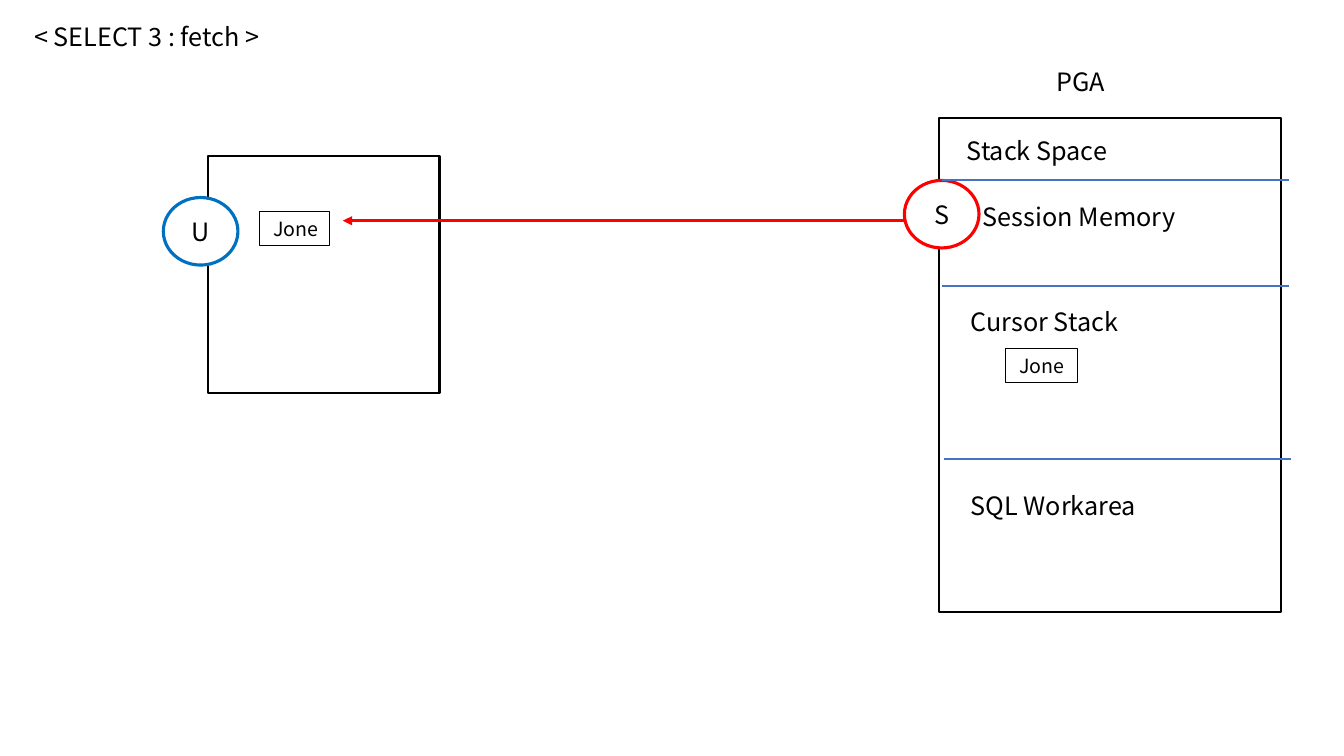
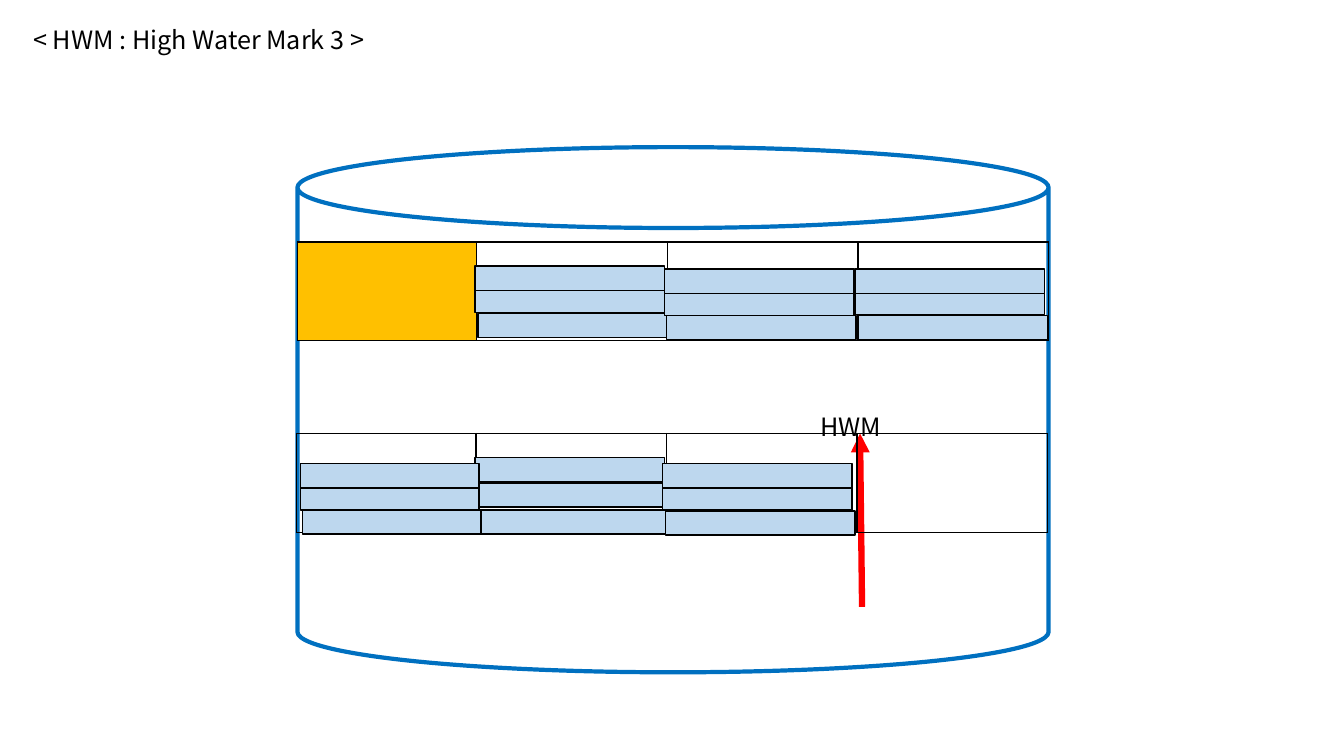
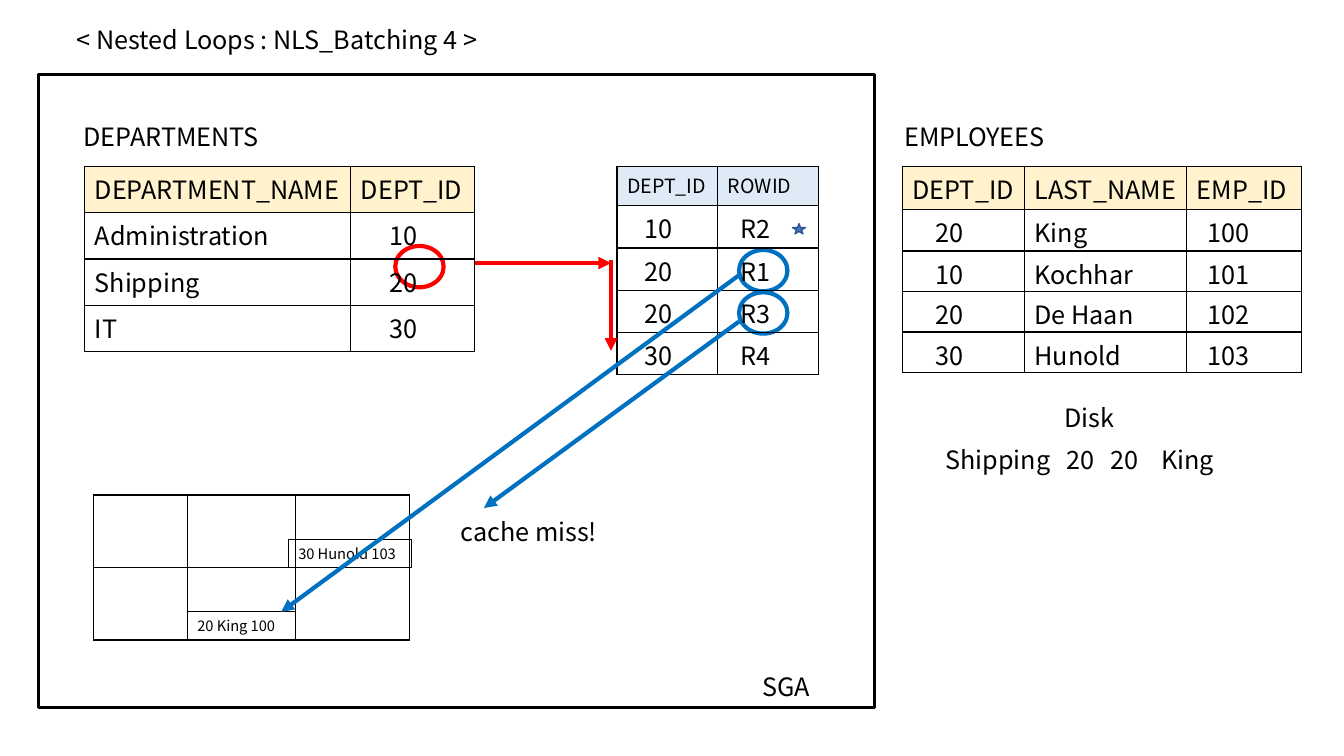
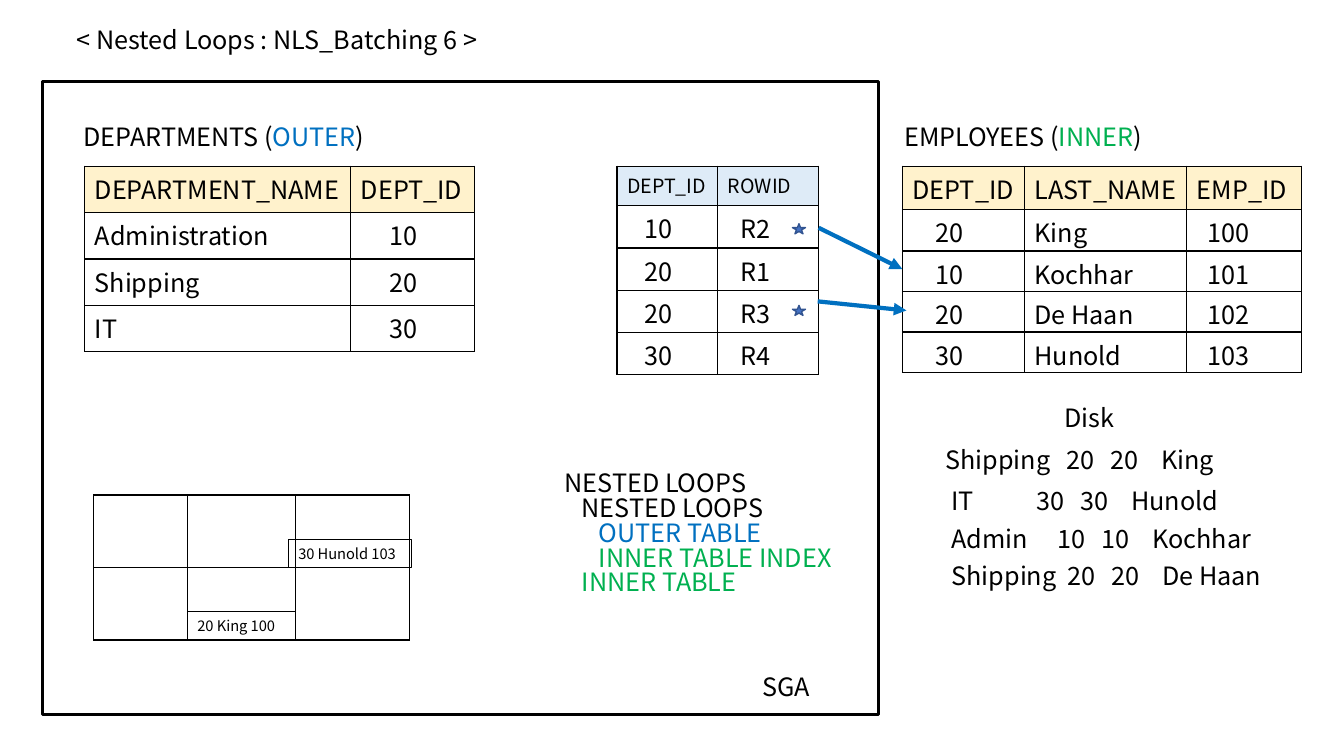
from lxml import etree
from pptx import Presentation
from pptx.dml.color import RGBColor
from pptx.enum.shapes import MSO_CONNECTOR, MSO_SHAPE
from pptx.enum.text import MSO_ANCHOR, MSO_AUTO_SIZE, PP_ALIGN
from pptx.oxml.ns import qn
from pptx.util import Inches, Pt

RECT, OVAL = MSO_SHAPE.RECTANGLE, MSO_SHAPE.OVAL
CAN, STAR = MSO_SHAPE.CAN, MSO_SHAPE.STAR_5_POINT
STRAIGHT = MSO_CONNECTOR.STRAIGHT
TOP, MIDDLE = MSO_ANCHOR.TOP, MSO_ANCHOR.MIDDLE
LEFT, CENTER = PP_ALIGN.LEFT, PP_ALIGN.CENTER
FIXED = MSO_AUTO_SIZE.NONE

FONT = "Noto Sans CJK KR"
COLORS = {
    "black": "000000", "white": "FFFFFF", "red": "FF0000", "blue": "0070C0",
    "green": "00B050", "rule": "4472C4", "edge": "325491", "gold": "FFC000",
    "bar": "BDD7EE", "cream": "FFF2CC", "pale": "DEEBF7",
}
TITLE_ONLY, TITLE_BODY = 5, 1

# Fetch: left, top, width, text
AREAS = [
    (10.38, 0.61, 1.4, "PGA"),
    (9.49, 1.29, 1.8, "Stack Space"),
    (9.65, 1.95, 2.3, "Session Memory"),
    (9.53, 2.99, 2.4, "Cursor Stack"),
    (9.53, 4.82, 2.1, "SQL Workarea"),
]
RULES = [(9.34, 1.79), (9.34, 2.84), (9.36, 4.55)]
NAMES = [(9.97, 3.46, 0.72), (2.57, 2.1, 0.7)]

# High water mark: left, width, shift of the lowest bar, tops
EXTENT = [1.78, 1.89, 1.89, 1.89]
STACKS = [
    (4.71, 1.88, 0.03, (2.64, 2.86, 3.11)),
    (4.71, 1.88, 0.05, (4.54, 4.79, 5.06)),
    (6.59, 1.88, 0.02, (2.67, 2.89, 3.13)),
    (8.48, 1.88, 0.03, (2.67, 2.88, 3.13)),
    (6.57, 1.88, 0.03, (4.6, 4.82, 5.07)),
    (2.98, 1.77, 0.02, (4.6, 4.82, 5.06)),
]

# Nested loops: tables shared by both slides
TABLES = [
    dict(at=(0.84, 1.65), cols=[2.64, 1.23], rows=[0.46] * 4,
         pads=[0.1, 0.38], head="cream",
         cells=[("DEPARTMENT_NAME", "DEPT_ID"), ("Administration", "10"),
                ("Shipping", "20"), ("IT", "30")]),
    dict(at=(8.95, 1.65), cols=[1.21, 1.61, 1.14], rows=[0.43, 0.41] + [0.4] * 3,
         pads=[0.33, 0.1, 0.21], head="cream",
         cells=[("DEPT_ID", "LAST_NAME", "EMP_ID"), ("20", "King", "100"),
                ("10", "Kochhar", "101"), ("20", "De Haan", "102"),
                ("30", "Hunold", "103")]),
    dict(at=(6.12, 1.65), cols=[1, 1], rows=[0.39] + [0.42] * 4,
         pads=[0.27, 0.22], head="pale", size=14,
         cells=[("DEPT_ID", "ROWID"), ("10", "R2"), ("20", "R1"),
                ("20", "R3"), ("30", "R4")]),
    dict(at=(0.93, 4.91), cols=[0.93, 1.07, 1.13], rows=[0.72] * 2),
]
CACHED = [(1.86, 6.07, 1.07, "20 King 100"), (2.86, 5.35, 1.22, "30 Hunold 103")]

# Result lines: left, top, first tab stop, fields
RESULTS = [
    (9.28, 4.36, 1.2, ("Shipping", "20", "20", "King")),
    (9.34, 4.77, 0.84, ("IT", "30", "30", "Hunold")),
    (9.34, 5.14, 1.05, ("Admin", "10", "10", "Kochhar")),
    (9.34, 5.51, 1.15, ("Shipping", "20", "20", "De Haan")),
]
TAB_STEPS = (0, 0.44, 0.94)

PLAN = [
    (0, "NESTED LOOPS", "black"), (1, "NESTED LOOPS", "black"),
    (2, "OUTER TABLE", "blue"), (2, "INNER TABLE INDEX", "green"),
    (1, "INNER TABLE", "green"),
]

LOOPS = [
    dict(title="< Nested Loops : NLS_Batching 4 >", frame=(0.38, 0.74),
         outer=[("DEPARTMENTS", "black")], inner=[("EMPLOYEES", "black")],
         rings=[(7.33, 2.9, "blue"), (7.33, 2.48, "blue"), (3.92, 2.44, "red")],
         arrows=[((4.71, 2.61), (6.06, 2.61), "red"),
                 ((6.06, 2.58), (6.06, 3.48), "red"),
                 ((7.33, 2.73), (2.79, 6.07), "blue"),
                 ((7.33, 3.19), (4.8, 5.04), "blue")],
         stars=[2.22], notes=[(4.47, 5.07, "cache miss!")],
         results=RESULTS[:1], plan=[]),
    dict(title="< Nested Loops : NLS_Batching 6 >", frame=(0.42, 0.81),
         outer=[("DEPARTMENTS (", "black"), ("OUTER", "blue"), (")", "black")],
         inner=[("EMPLOYEES (", "black"), ("INNER", "green"), (")", "black")],
         rings=[],
         arrows=[((8.12, 2.26), (8.95, 2.67), "blue"),
                 ((8.11, 2.99), (8.99, 3.08), "blue")],
         stars=[2.22, 3.03], notes=[], results=RESULTS, plan=PLAN),
]


def rgb(name):
    return RGBColor.from_string(COLORS[name])


def box(*sizes):
    return [Inches(size) for size in sizes]


def write(para, text, color="black", size=18):
    run = para.add_run()
    run.text = text
    font = run.font
    font.name, font.size, font.bold = FONT, Pt(size), False
    font.color.rgb = rgb(color)


def place(holder, left, top, width, height):
    """Move a placeholder and give it plain text settings."""
    holder.left, holder.top, holder.width, holder.height = box(left, top, width, height)
    frame = holder.text_frame
    frame.word_wrap, frame.auto_size = True, FIXED
    frame.vertical_anchor = TOP
    return frame


def start(deck, title, left, top, layout=TITLE_ONLY):
    slide = deck.slides.add_slide(deck.slide_layouts[layout])
    para = place(slide.shapes.title, left, top, 6.6, 0.4).paragraphs[0]
    para.alignment = LEFT
    write(para, title)
    return slide


def label(slide, left, top, width, runs):
    """Add a one-line text box; runs is a string or (text, color) pairs."""
    frame = slide.shapes.add_textbox(*box(left, top, width, 0.4)).text_frame
    frame.word_wrap = True
    para = frame.paragraphs[0]
    for text, color in [(runs, "black")] if isinstance(runs, str) else runs:
        write(para, text, color)
    return para


def draw(slide, kind, at, line, weight, fill=None):
    shape = slide.shapes.add_shape(kind, *box(*at))
    shape.shadow.inherit = False
    if fill:
        shape.fill.solid()
        shape.fill.fore_color.rgb = rgb(fill)
    else:
        shape.fill.background()
    shape.line.color.rgb, shape.line.width = rgb(line), Pt(weight)
    return shape


def inscribe(shape, text, size, align=LEFT, pad=0.1):
    frame = shape.text_frame
    frame.margin_left = Inches(pad)
    frame.margin_right = frame.margin_top = frame.margin_bottom = 0
    frame.word_wrap, frame.vertical_anchor = False, MIDDLE
    frame.paragraphs[0].alignment = align
    write(frame.paragraphs[0], text, size=size)


def link(slide, start_at, end_at, color, weight, arrow=True):
    line = slide.shapes.add_connector(STRAIGHT, *box(*start_at, *end_at))
    line.line.color.rgb, line.line.width = rgb(color), Pt(weight)
    if arrow:
        etree.SubElement(line.line._get_or_add_ln(), qn("a:tailEnd"), type="triangle")
    etree.SubElement(line._element.spPr, qn("a:effectLst"))


def border(cell):
    props = cell._tc.get_or_add_tcPr()
    for side in ("lnL", "lnR", "lnT", "lnB"):
        line = etree.SubElement(props, qn("a:" + side), w=str(Pt(1)))
        solid = etree.SubElement(line, qn("a:solidFill"))
        etree.SubElement(solid, qn("a:srgbClr"), val=COLORS["black"])


def grid(slide, at, cols, rows, cells=(), pads=(), head=None, size=18):
    """Add a bordered table; head fills the first row, size is its text size."""
    table = slide.shapes.add_table(
        len(rows), len(cols), *box(*at, sum(cols), sum(rows))).table
    table.first_row = table.horz_banding = False
    for col, width in zip(table.columns, cols):
        col.width = Inches(width)
    for r, height in enumerate(rows):
        table.rows[r].height = Inches(height)
        for c in range(len(cols)):
            cell = table.cell(r, c)
            border(cell)
            cell.margin_top, cell.margin_bottom = Inches(0.04), 0
            if head and r == 0:
                cell.fill.solid()
                cell.fill.fore_color.rgb = rgb(head)
            else:
                cell.fill.background()
            if cells:
                cell.margin_left = Inches(pads[c] if r else 0.1)
                cell.margin_right = 0
                write(cell.text_frame.paragraphs[0], cells[r][c],
                      size=18 if r else size)
    return table


def fetch(deck):
    slide = start(deck, "< SELECT 3 : fetch >", 0.24, 0.16)
    draw(slide, RECT, (2.06, 1.55, 2.3, 2.35), "black", 1.5, "white")
    draw(slide, RECT, (9.31, 1.17, 3.4, 4.9), "black", 1.5, "white")
    for left, top, color, text in [(8.97, 1.79, "red", "S"), (1.62, 1.96, "blue", "U")]:
        ring = draw(slide, OVAL, (left, top, 0.74, 0.67), color, 2.25, "white")
        inscribe(ring, text, 18, CENTER, 0)
    for left, top in RULES:
        link(slide, (left, top), (left + 3.44, top), "rule", 1.5, False)
    for area in AREAS:
        label(slide, *area)
    link(slide, (8.97, 2.19), (3.4, 2.19), "red", 2.25)
    for left, top, width in NAMES:
        tag = draw(slide, RECT, (left, top, width, 0.34), "black", 0.75)
        inscribe(tag, "Jone", 14, pad=0.14)


def water(deck):
    slide = start(deck, "< HWM : High Water Mark 3 >", 0.23, 0.19)
    can = draw(slide, CAN, (2.95, 1.46, 7.45, 5.21), "blue", 3, "white")
    can.adjustments[0] = 0.154
    first = grid(slide, (2.95, 2.4), EXTENT, [0.98]).cell(0, 0)
    first.fill.solid()
    first.fill.fore_color.rgb = rgb("gold")
    link(slide, (8.55, 6.02), (8.53, 4.3), "red", 4.5)
    label(slide, 8.04, 4.03, 1.4, "HWM")
    grid(slide, (2.94, 4.3), EXTENT, [0.98])
    for left, width, shift, (high, mid, low) in STACKS:
        for x, y in [(left + shift, low), (left, mid), (left, high)]:
            draw(slide, RECT, (x, y, width, 0.24), "black", 1, "bar")


def outline(slide, plan):
    frame = place(slide.placeholders[1], 5.5, 4.64, 3.15, 1.62)
    for i, (level, text, color) in enumerate(plan):
        para = frame.add_paragraph() if i else frame.paragraphs[0]
        props = para._p.get_or_add_pPr()
        props.set("marL", str(Inches(0.17 * level)))
        props.set("indent", "0")
        etree.SubElement(props, qn("a:buNone"))
        para.space_before, para.line_spacing = Pt(0), 0.82
        write(para, text, color)


def result(slide, left, top, first, fields):
    para = label(slide, left, top, 3.6, "\t".join(fields))
    tabs = etree.SubElement(para._p.get_or_add_pPr(), qn("a:tabLst"))
    for step in TAB_STEPS:
        etree.SubElement(tabs, qn("a:tab"), pos=str(Inches(first + step)), algn="l")


def loops(deck, page):
    plan = page["plan"]
    slide = start(deck, page["title"], 0.66, 0.19, TITLE_BODY if plan else TITLE_ONLY)
    if plan:
        outline(slide, plan)
    draw(slide, RECT, (*page["frame"], 8.29, 6.28), "black", 2.25)
    for left, top, color in page["rings"]:
        draw(slide, OVAL, (left, top, 0.48, 0.41), color, 3, "white")
    for table in TABLES:
        grid(slide, **table)
    label(slide, 0.73, 1.15, 3.2, page["outer"])
    label(slide, 8.87, 1.15, 2.9, page["inner"])
    for left, top, width, text in CACHED:
        inscribe(draw(slide, RECT, (left, top, width, 0.28), "black", 0.75), text, 10.5)
    for left, top, text in [(7.46, 6.61, "SGA"), (10.46, 3.94, "Disk"), *page["notes"]]:
        label(slide, left, top, 1.7 if text in "cache miss!" else 1, text)
    for row in page["results"]:
        result(slide, *row)
    for begin, end, color in page["arrows"]:
        link(slide, begin, end, color, 3)
    for top in page["stars"]:
        draw(slide, STAR, (7.86, top, 0.13, 0.1), "edge", 1, "rule")


def main():
    deck = Presentation()
    deck.slide_width, deck.slide_height = box(13.33, 7.5)
    fetch(deck)
    water(deck)
    for page in LOOPS:
        loops(deck, page)
    deck.save("out.pptx")


if __name__ == "__main__":
    main()
